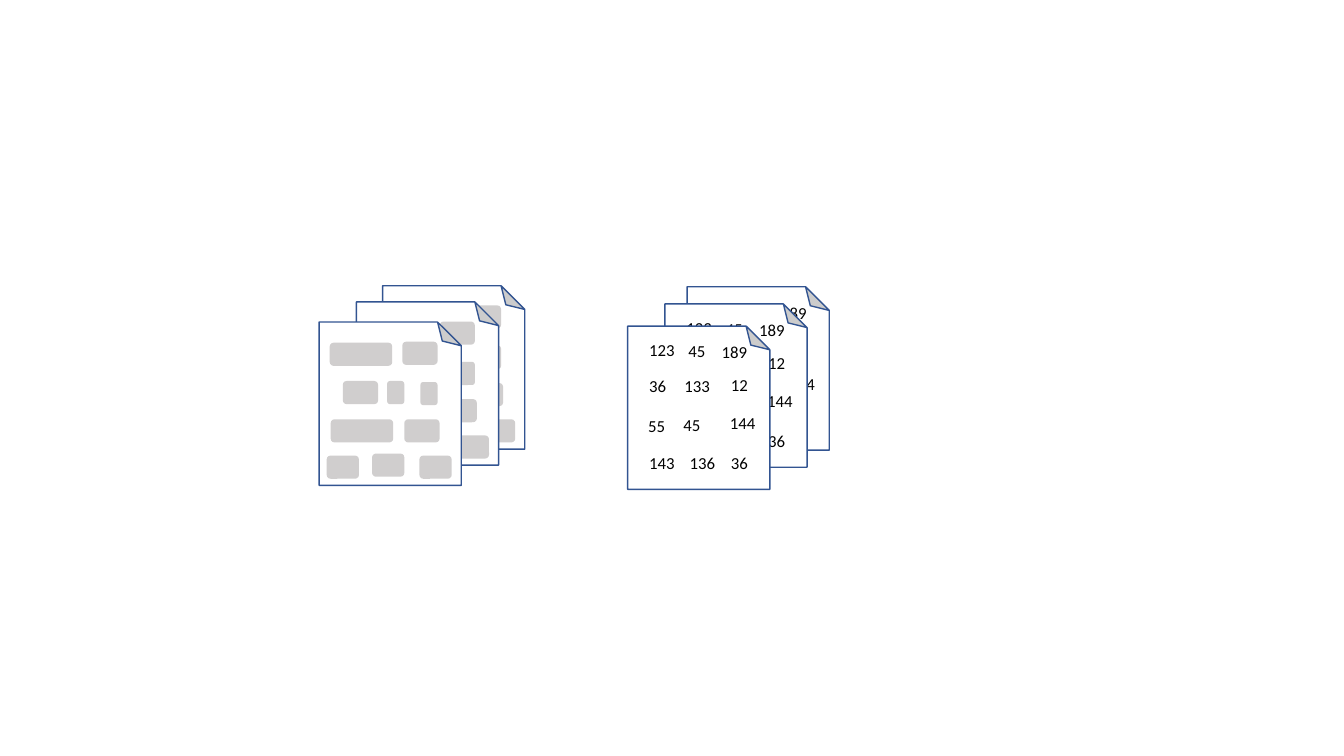
"""Two stacks of folded pages: one of blank blocks, one of numbers."""
from pptx import Presentation
from pptx import util as u
from pptx.dml.color import RGBColor
from pptx.enum import shapes, text

COLORS = {"paper": "FFFFFF", "edge": "325491", "block": "D0CECE", "ink": "000000"}
CELL = u.Inches(0.1)
SHEET_SIZE = (16.2, 14.1)
BLOCK_HEIGHT = 2.3
NUMBER_HEIGHT = 3
NUMBER_WIDTHS = {2: 3.7, 3: 4.6}
LAST_ROW_WIDTH = 5.1

BLOCK_PAGES = [(36.9, 29.4), (34.3, 31), (30.6, 33)]
BLOCKS = [
    (2.1, 1, 6.2), (9.3, 0.9, 3.5),
    (9.5, 8.6, 3.5), (3.4, 4.8, 3.5), (2.2, 8.6, 6.2),
    (1.8, 12.2, 3.2), (7.8, 4.8, 1.7), (11.1, 4.9, 1.7),
    (6.3, 12, 3.2), (11, 12.2, 3.2),
]

NUMBER_PAGES = [(67.1, 29.5, ()), (64.9, 31.2, (6, 7, 10)), (61.2, 33.4, ())]
NUMBERS = [
    ("123", 2.2, -0.2), ("45", 6.1, -0.1), ("189", 9.4, 0),
    ("36", 2.2, 3.4), ("133", 5.7, 3.4), ("12", 10.3, 3.3),
    ("55", 2.1, 7.4), ("45", 5.6, 7.3), ("144", 10.2, 7.1),
    ("143", 2.2, 11), ("136", 6.2, 11), ("36", 10.3, 11),
]
LAST_ROW_START = 9


def cells(*lengths):
    """Turn grid cells into slide lengths."""
    return [round(length * CELL) for length in lengths]


def add_filled(group, preset, area, fill, edge=None):
    """Add a preset shape with a plain fill and an optional edge."""
    shape = group.shapes.add_shape(preset, *cells(*area))
    shape.shadow.inherit = False
    shape.fill.solid()
    shape.fill.fore_color.rgb = RGBColor.from_string(COLORS[fill])
    if edge:
        shape.line.color.rgb = RGBColor.from_string(COLORS[edge])
        shape.line.width = u.Pt(1)
    else:
        shape.line.fill.background()
    return shape


def add_sheet(page, left, top):
    """Start a group with a sheet whose top right corner is folded."""
    group = page.shapes.add_group_shape()
    sheet = add_filled(group, shapes.MSO_SHAPE.FOLDED_CORNER,
                       (left, top, *SHEET_SIZE), "paper", "edge")
    sheet.rotation = 270
    return group


def add_number(group, number, left, top, width, wrap):
    """Add one number in its own text box."""
    box = group.shapes.add_textbox(*cells(left, top, width, NUMBER_HEIGHT))
    frame = box.text_frame
    frame.word_wrap = wrap
    frame.auto_size = text.MSO_AUTO_SIZE.SHAPE_TO_FIT_TEXT
    para = frame.paragraphs[0]
    span = para.add_run()
    span.text = number
    span.font.name = "Calibri"
    span.font.size = u.Pt(12)
    span.font.color.rgb = RGBColor.from_string(COLORS["ink"])


def add_block_page(page, left, top):
    """Add a sheet covered with rounded blocks."""
    group = add_sheet(page, left, top)
    for across, down, width in BLOCKS:
        add_filled(group, shapes.MSO_SHAPE.ROUNDED_RECTANGLE,
                   (left + across, top + down, width, BLOCK_HEIGHT), "block")


def add_number_page(page, left, top, missing):
    """Add a sheet of numbers without those at the missing places."""
    group = add_sheet(page, left, top)
    for place, (number, across, down) in enumerate(NUMBERS):
        if place in missing:
            continue
        last_row = place >= LAST_ROW_START
        width = LAST_ROW_WIDTH if last_row else NUMBER_WIDTHS[len(number)]
        add_number(group, number, left + across, top + down, width, last_row)


def main():
    """Build the slide and save it."""
    deck = Presentation()
    deck.slide_width, deck.slide_height = u.Inches(13.33), u.Inches(7.5)
    page = deck.slides.add_slide(deck.slide_layouts[6])
    for left, top in BLOCK_PAGES:
        add_block_page(page, left, top)
    for left, top, missing in NUMBER_PAGES:
        add_number_page(page, left, top, missing)
    deck.save("out.pptx")


if __name__ == "__main__":
    main()
